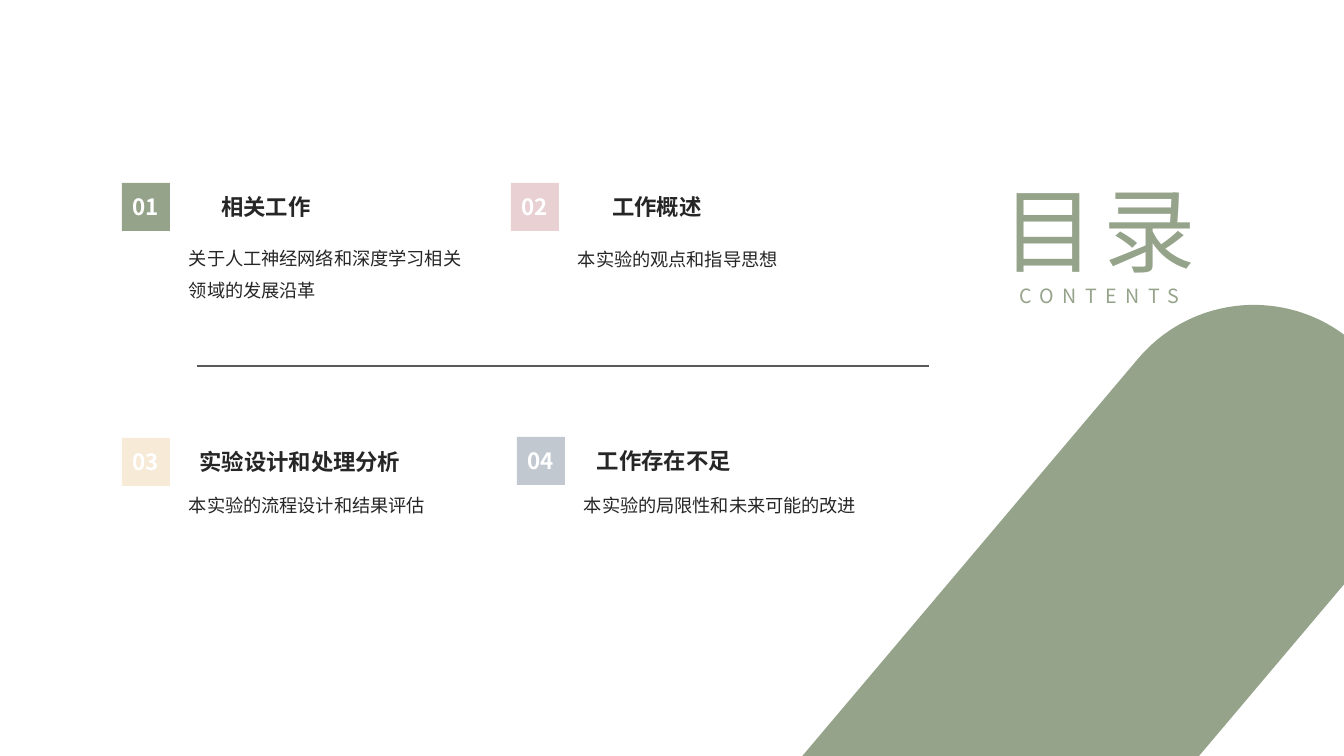
from pptx import Presentation
from pptx.dml.color import RGBColor
from pptx.enum.shapes import MSO_CONNECTOR, MSO_SHAPE
from pptx.enum.text import MSO_ANCHOR, MSO_AUTO_SIZE, PP_ALIGN
from pptx.oxml.ns import qn
from pptx.util import Pt
from lxml.etree import SubElement

PX = 914400 / 100.8
FONT = "Noto Sans CJK SC"
GREEN, DARK, WHITE = "95A38A", "262626", "FFFFFF"


def emu(*px):
    return [round(v * PX) for v in px]


def style(p, size, color, bold=False, align=PP_ALIGN.CENTER, font=FONT, spacing=0):
    p.alignment = align
    r = p.runs[0]
    r.font.size, r.font.bold, r.font.name = Pt(size), bold, font
    r.font.color.rgb = RGBColor.from_string(color)
    rPr = r.font._element
    SubElement(rPr, qn("a:ea")).set("typeface", font)
    if spacing:
        rPr.set("spc", str(spacing * 100))


prs = Presentation()
prs.slide_width, prs.slide_height = emu(1344, 756)
s = prs.slides.add_slide(prs.slide_layouts[6])

# Divider between the two rows
line = s.shapes.add_connector(MSO_CONNECTOR.STRAIGHT, *emu(197, 366, 929, 366))
line.line.color.rgb = RGBColor.from_string("595959")
line.line.width = Pt(1)
SubElement(line._element.spPr, qn("a:effectLst"))

# Agenda: badge x, y, fill; heading, x, width; description, top, width, height, font
agenda = [
    (122, 183, GREEN, "相关工作", 200, 132,
     "关于人工神经网络和深度学习相关领域的发展沿革", 231, 298, 77, FONT),
    (511, 183, "E9D0D3", "工作概述", 591, 132,
     "本实验的观点和指导思想", 232, 292, 43, FONT),
    (122, 438, "F7EAD7", "实验设计和处理分析", 177, 246,
     "本实验的流程设计和结果评估", 478, 298, 43, FONT),
    (517, 437, "C1C8D0", "工作存在不足", 574, 180,
     "本实验的局限性和未来可能的改进", 478, 312, 43, "Arial"),
]
for number, (x, y, fill, heading, head_x, head_w,
             detail, detail_y, detail_w, detail_h, font) in enumerate(agenda, 1):
    # Numbered badge
    badge = s.shapes.add_shape(MSO_SHAPE.RECTANGLE, *emu(x, y, 48, 48))
    badge.shadow.inherit = False
    badge.fill.solid()
    badge.fill.fore_color.rgb = RGBColor.from_string(fill)
    badge.line.fill.background()
    tf = badge.text_frame
    tf.text = f"{number:02}"
    tf.word_wrap = False
    tf.vertical_anchor = MSO_ANCHOR.MIDDLE
    style(tf.paragraphs[0], 16, WHITE, bold=True)

    # Description
    tf = s.shapes.add_textbox(*emu(x + 57, detail_y, detail_w, detail_h)).text_frame
    tf.text = detail
    tf.word_wrap = True
    tf.auto_size = MSO_AUTO_SIZE.SHAPE_TO_FIT_TEXT
    tf.paragraphs[0].line_spacing = 1.5
    style(tf.paragraphs[0], 13, DARK, align=PP_ALIGN.LEFT, font=font)

    # Heading
    tf = s.shapes.add_textbox(*emu(head_x, y, head_w, 47)).text_frame
    tf.text = heading
    tf.word_wrap = False
    tf.auto_size = MSO_AUTO_SIZE.SHAPE_TO_FIT_TEXT
    tf.margin_left, tf.margin_right, tf.margin_top, tf.margin_bottom = emu(20, 20, 10, 10)
    style(tf.paragraphs[0], 16, DARK, bold=True)

# Slide title
tf = s.shapes.add_textbox(*emu(953, 168, 293, 146)).text_frame
tf.text = "目录\nCONTENTS"
tf.word_wrap = True
tf.auto_size = MSO_AUTO_SIZE.SHAPE_TO_FIT_TEXT
for p, size in zip(tf.paragraphs, (66, 14)):
    style(p, size, GREEN, spacing=6)

# Diagonal band
band = s.shapes.add_shape(MSO_SHAPE.ROUNDED_RECTANGLE, *emu(473, 597, 1068, 303))
band.adjustments[0] = 0.5
band.rotation = 310.2
band.shadow.inherit = False
band.fill.solid()
band.fill.fore_color.rgb = RGBColor.from_string(GREEN)
band.line.fill.background()

prs.save("out.pptx")
